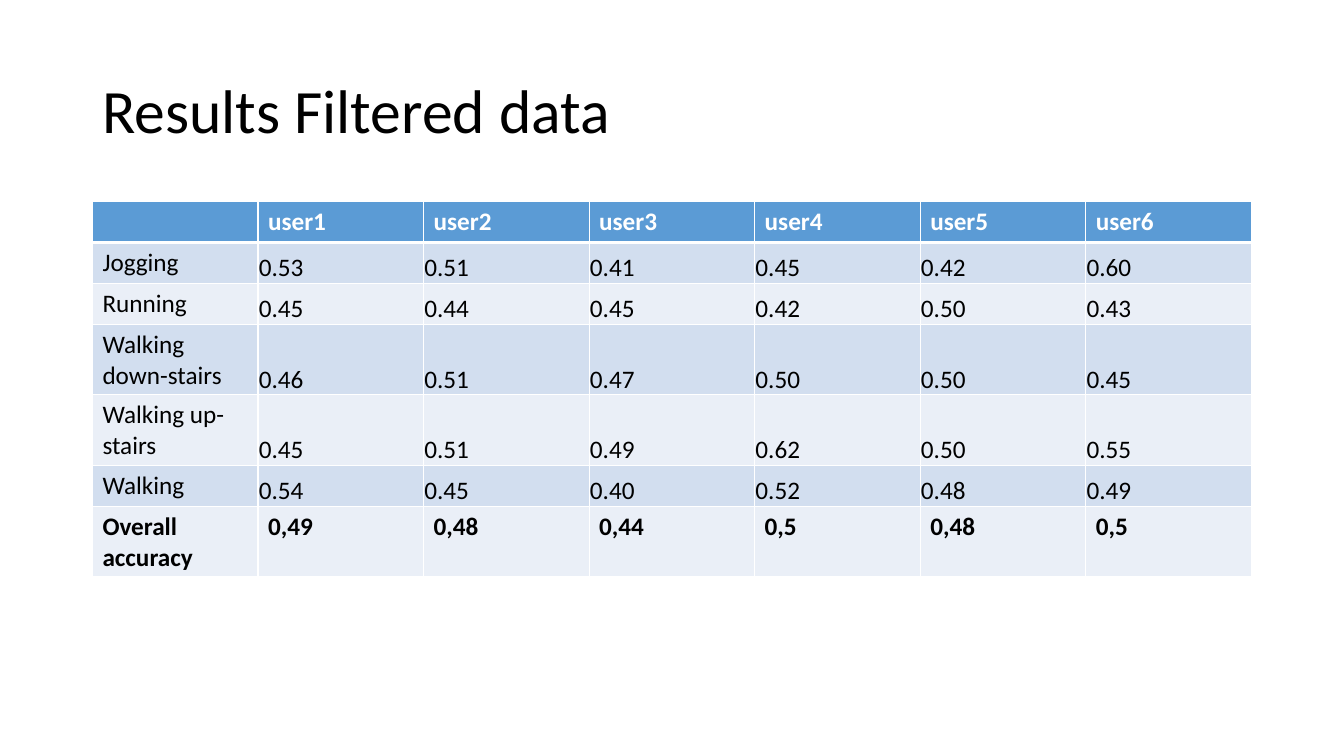
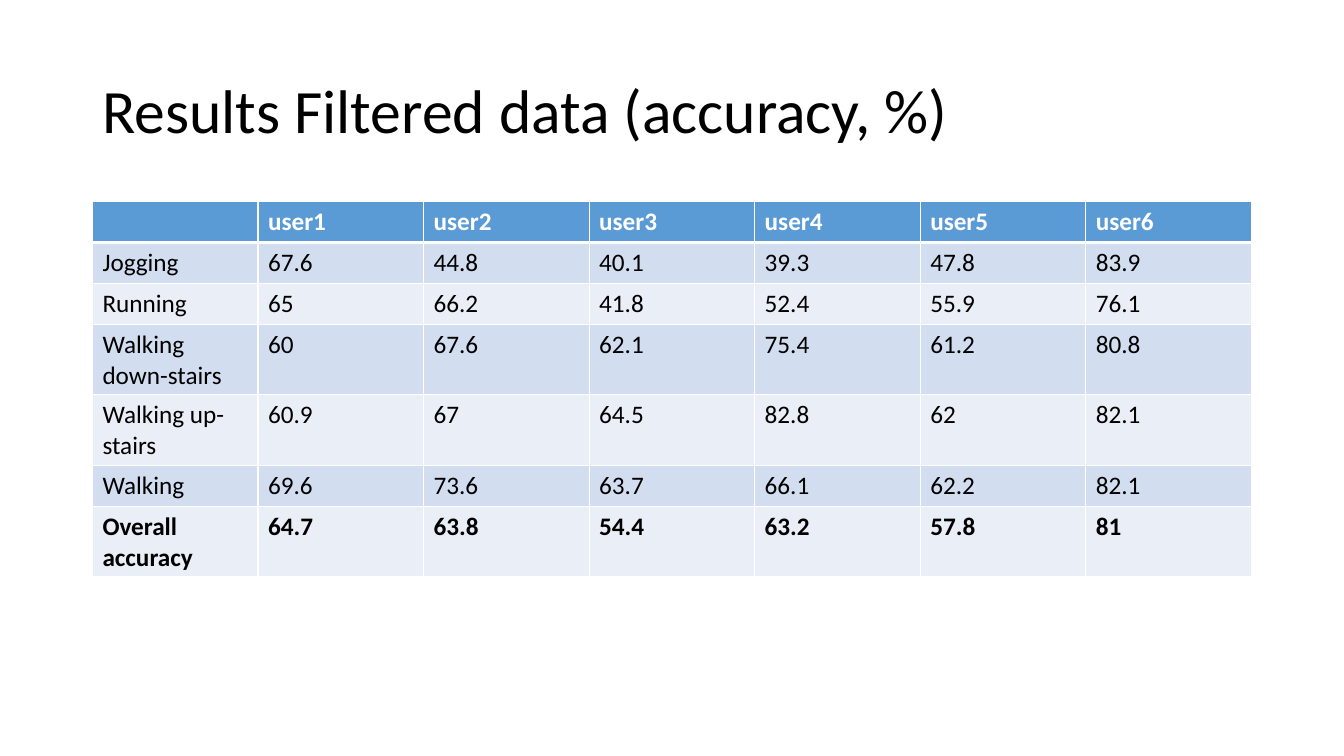
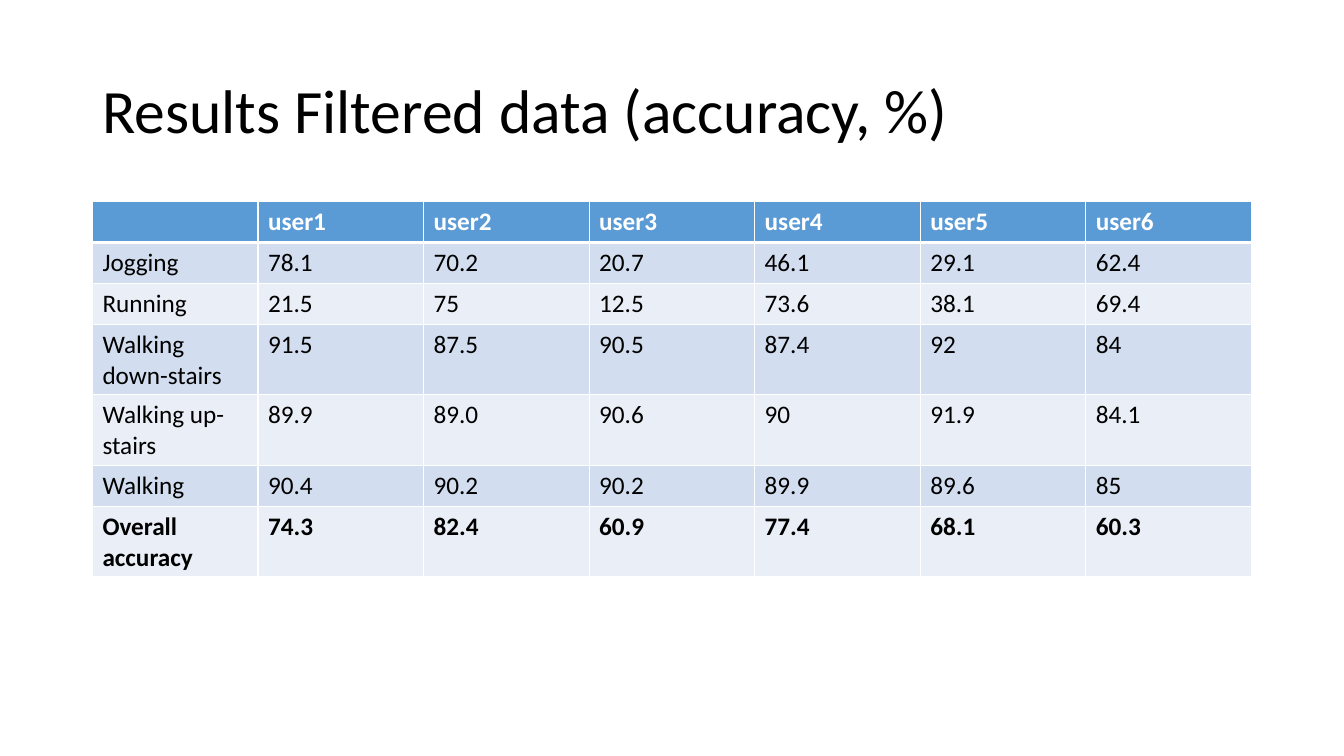
from dataclasses import dataclass
from typing import Any

from lxml.etree import SubElement
from pptx import Presentation
from pptx.dml.color import RGBColor
from pptx.enum.text import MSO_VERTICAL_ANCHOR as Anchor
from pptx.oxml.ns import qn
from pptx.util import Cm, Pt


# Shared look
@dataclass(frozen=True)
class Theme:
    font: str = "Calibri"
    title_size: int = 44
    cell_size: int = 18
    text: str = "000000"
    header_text: str = "FFFFFF"
    header_fill: str = "5B9BD5"
    band_fills: tuple[str, str] = ("D2DEEF", "EAEFF7")
    border: str = "FFFFFF"
    thin: int = 1
    thick: int = 3


@dataclass(frozen=True)
class Result:
    title: str
    scores: tuple[str, ...]  # one line per activity
    overall: str
    tight: bool = False  # scores sit at the bottom left of their cells


THEME = Theme()
LEFT, WIDTH = Cm(2.33), Cm(29.21)
ROW_HEIGHT = Cm(1.03)
ACTIVITIES = ("Jogging", "Running", "Walking down-stairs", "Walking up-stairs", "Walking")
HEADER = ["", *(f"user{number}" for number in range(1, 7))]
TIGHT_FORMAT = {
    "vertical_anchor": Anchor.BOTTOM,
    "margin_left": Cm(0.02),
    "margin_right": Cm(0.02),
    "margin_top": Cm(0.02),
    "margin_bottom": Cm(0),
}

# Slide content
RESULTS = (
    Result(
        "Results Filtered data",
        (
            "0.53 0.51 0.41 0.45 0.42 0.60",
            "0.45 0.44 0.45 0.42 0.50 0.43",
            "0.46 0.51 0.47 0.50 0.50 0.45",
            "0.45 0.51 0.49 0.62 0.50 0.55",
            "0.54 0.45 0.40 0.52 0.48 0.49",
        ),
        "0,49 0,48 0,44 0,5 0,48 0,5",
        tight=True,
    ),
    Result(
        "Results Filtered data (accuracy, %)",
        (
            "67.6 44.8 40.1 39.3 47.8 83.9",
            "65 66.2 41.8 52.4 55.9 76.1",
            "60 67.6 62.1 75.4 61.2 80.8",
            "60.9 67 64.5 82.8 62 82.1",
            "69.6 73.6 63.7 66.1 62.2 82.1",
        ),
        "64.7 63.8 54.4 63.2 57.8 81",
    ),
    Result(
        "Results Filtered data (accuracy, %)",
        (
            "78.1 70.2 20.7 46.1 29.1 62.4",
            "21.5 75 12.5 73.6 38.1 69.4",
            "91.5 87.5 90.5 87.4 92 84",
            "89.9 89.0 90.6 90 91.9 84.1",
            "90.4 90.2 90.2 89.9 89.6 85",
        ),
        "74.3 82.4 60.9 77.4 68.1 60.3",
    ),
)


# Drawing helpers
def apply_format(target: Any, values: dict[str, Any]) -> None:
    for name, value in values.items():
        setattr(target, name, value)


def write_text(frame: Any, text: str, size: int, color: str, bold: bool = False) -> None:
    span = frame.paragraphs[0].add_run()
    span.text = text
    apply_format(span.font, {"name": THEME.font, "size": Pt(size), "bold": bold})
    span.font.color.rgb = RGBColor.from_string(color)


def add_borders(cell: Any, top: int, bottom: int) -> None:
    properties = cell._tc.get_or_add_tcPr()
    widths = {"a:lnL": THEME.thin, "a:lnR": THEME.thin, "a:lnT": top, "a:lnB": bottom}
    for tag, width in widths.items():
        line = SubElement(properties, qn(tag), w=str(Pt(width)))
        fill = SubElement(line, qn("a:solidFill"))
        SubElement(fill, qn("a:srgbClr"), val=THEME.border)


def add_title(page: Any, title: str) -> None:
    box = page.shapes.add_textbox(LEFT, Cm(1.01), WIDTH, Cm(3.68))
    apply_format(box.text_frame, {"word_wrap": True, "vertical_anchor": Anchor.MIDDLE})
    box.text_frame.paragraphs[0].line_spacing = 0.9
    write_text(box.text_frame, title, THEME.title_size, THEME.text)


def add_result_table(page: Any, result: Result) -> None:
    scores = [[name, *line.split()] for name, line in zip(ACTIVITIES, result.scores)]
    rows = [HEADER, *scores, ["Overall accuracy", *result.overall.split()]]
    last = len(rows) - 1
    frame = page.shapes.add_table(
        len(rows), len(HEADER), LEFT, Cm(5.08), WIDTH, ROW_HEIGHT * len(rows)
    )
    table = frame.table
    apply_format(table, {"first_row": True, "horz_banding": False})

    for row, texts in enumerate(rows):
        is_header = row == 0
        fill = THEME.header_fill if is_header else THEME.band_fills[(row - 1) % 2]
        color = THEME.header_text if is_header else THEME.text
        # The heavy rule lies between the header and the first activity
        top = THEME.thick if row == 1 else THEME.thin
        bottom = THEME.thick if is_header else THEME.thin
        for column, text in enumerate(texts):
            cell = table.cell(row, column)
            add_borders(cell, top, bottom)
            cell.fill.solid()
            cell.fill.fore_color.rgb = RGBColor.from_string(fill)
            if result.tight and 0 < row < last and column > 0:
                apply_format(cell, TIGHT_FORMAT)
            if text:
                write_text(cell.text_frame, text, THEME.cell_size, color, row in (0, last))


def main() -> None:
    deck = Presentation()
    apply_format(deck, {"slide_width": Cm(33.87), "slide_height": Cm(19.05)})
    blank = deck.slide_layouts[6]
    for result in RESULTS:
        page = deck.slides.add_slide(blank)
        add_title(page, result.title)
        add_result_table(page, result)
    deck.save("out.pptx")


if __name__ == "__main__":
    main()
